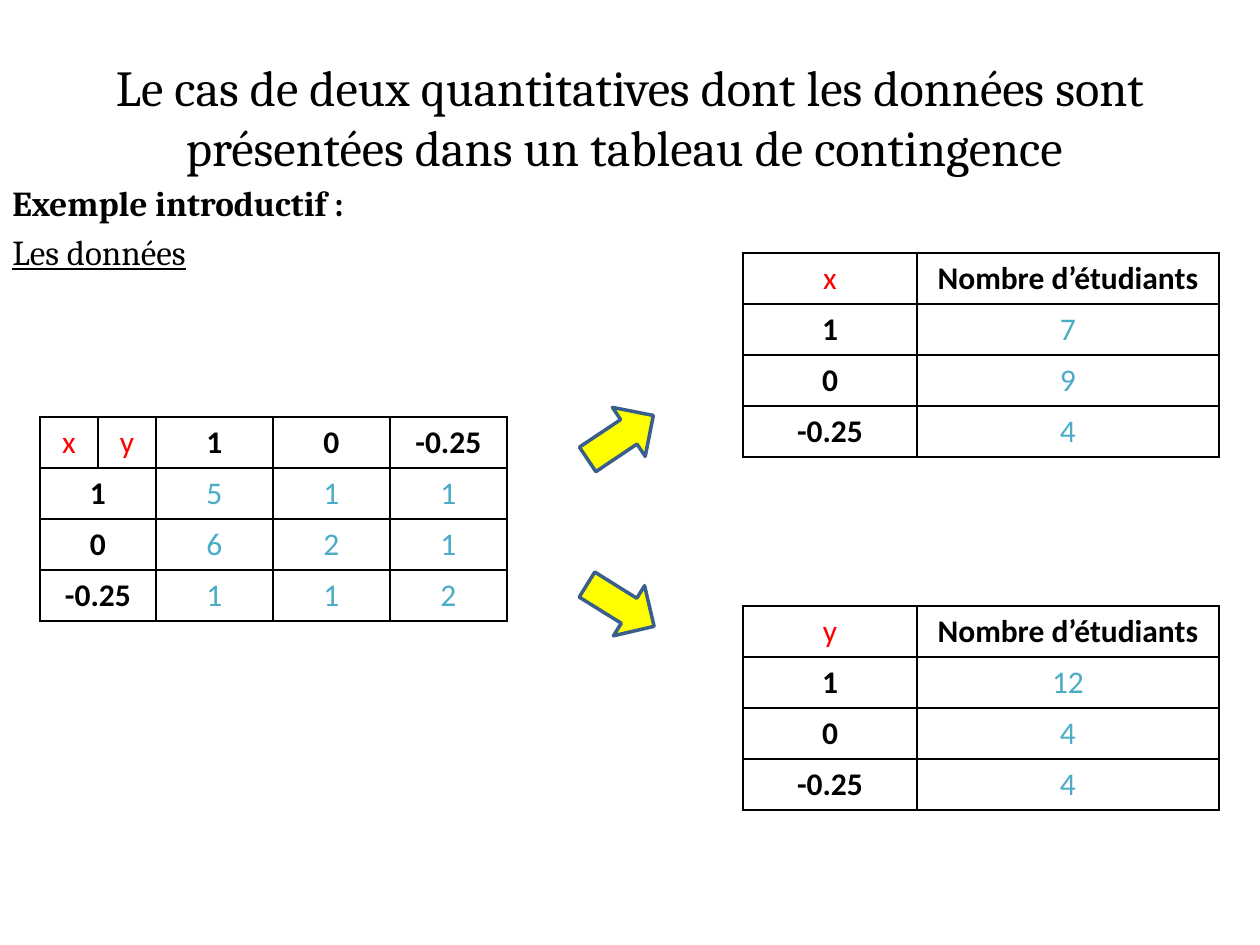
from lxml import etree
from pptx import Presentation
from pptx.dml.color import RGBColor
from pptx.enum.shapes import MSO_SHAPE
from pptx.enum.text import MSO_ANCHOR, PP_ALIGN
from pptx.oxml.ns import qn
from pptx.util import Emu, Pt

LEFT, CENTER = PP_ALIGN.LEFT, PP_ALIGN.CENTER
TOP, MIDDLE = MSO_ANCHOR.TOP, MSO_ANCHOR.MIDDLE
ARROW = MSO_SHAPE.RIGHT_ARROW
SCALE = 914400 / 126
HUES = {"ink": "000000", "name": "FF0000", "count": "4BACC6",
        "arrow": "FFFF00", "edge": "3A5F8C"}
ROW = 51


def px(n):
    return Emu(round(n * SCALE))


def hue(key):
    return RGBColor.from_string(HUES[key])


def write(para, text, font="Cambria", size=20, color="ink", bold=False,
          under=False, align=LEFT, before=0):
    para.alignment = align
    para.space_before = Pt(before)
    run = para.add_run()
    run.text = text
    face = run.font
    face.name, face.size = font, Pt(size)
    face.bold, face.underline = bold, under
    face.color.rgb = hue(color)


def frame(cell):
    """Draw a thin black line on all four sides of a table cell."""
    props = cell._tc.get_or_add_tcPr()
    for side in ("lnL", "lnR", "lnT", "lnB"):
        line = etree.SubElement(props, qn("a:" + side), w=str(Pt(1)))
        fill = etree.SubElement(line, qn("a:solidFill"))
        etree.SubElement(fill, qn("a:srgbClr"), val=HUES["ink"])


class Deck:
    def __init__(self, wide, high):
        self.show = Presentation()
        self.show.slide_width, self.show.slide_height = px(wide), px(high)
        self.slide = self.show.slides.add_slide(self.show.slide_layouts[6])

    def text(self, box, lines, anchor=TOP):
        """Add a text box; lines holds pairs of text and format."""
        body = self.slide.shapes.add_textbox(*map(px, box)).text_frame
        body.word_wrap = True
        body.vertical_anchor = anchor
        for i, (line, style) in enumerate(lines):
            para = body.add_paragraph() if i else body.paragraphs[0]
            write(para, line, **style)

    def arrow(self, left, top, turn):
        shape = self.slide.shapes.add_shape(
            ARROW, px(left), px(top), px(79), px(59))
        shape.rotation = turn
        shape.shadow.inherit = False
        shape.fill.solid()
        shape.fill.fore_color.rgb = hue("arrow")
        shape.line.color.rgb = hue("edge")
        shape.line.width = Pt(2)

    def table(self, left, top, cols, rows):
        """Add a table; None joins a cell to the one on its left."""
        grid = self.slide.shapes.add_table(
            len(rows), len(cols), px(left), px(top),
            px(sum(cols)), px(ROW * len(rows))).table
        grid.first_row = grid.horz_banding = False
        for col, wide in zip(grid.columns, cols):
            col.width = px(wide)
        for r, row in enumerate(rows):
            grid.rows[r].height = px(ROW)
            for c, value in enumerate(row):
                cell = grid.cell(r, c)
                frame(cell)
                cell.fill.background()
                if value is None:
                    grid.cell(r, c - 1).merge(cell)
                    continue
                named = value in ("x", "y")
                head = not named and (r == 0 or c == 0)
                color = "name" if named else "ink" if head else "count"
                write(cell.text_frame.paragraphs[0], value, font="Calibri",
                      size=18, color=color, bold=head, align=CENTER)


def main():
    deck = Deck(1260, 945)
    deck.text((63, 38, 1134, 157), [
        ("Le cas de deux quantitatives dont les données sont présentées "
         "dans un tableau de contingence ", dict(size=28.8, align=CENTER)),
    ], anchor=MIDDLE)
    deck.text((0, 175, 1260, 770), [
        ("Exemple introductif :", dict(bold=True)),
        ("Les données", dict(under=True, before=4)),
    ])

    marks = ["1", "0", "-0.25"]
    counts = [["5", "1", "1"], ["6", "2", "1"], ["1", "1", "2"]]
    cross = [["x", "y", *marks]]
    cross += [[mark, None, *row] for mark, row in zip(marks, counts)]
    deck.table(40, 417, [58, 58, 117, 117, 117], cross)

    sums = [("x", 253, counts), ("y", 606, zip(*counts))]
    for name, top, groups in sums:
        rows = [[name, "Nombre d’étudiants"]]
        rows += [[mark, str(sum(map(int, group)))]
                 for mark, group in zip(marks, groups)]
        deck.table(743, top, [174, 302], rows)

    for top, turn in ((408, 326.2), (576, 31.9)):
        deck.arrow(581, top, turn)
    deck.show.save("out.pptx")


if __name__ == "__main__":
    main()
